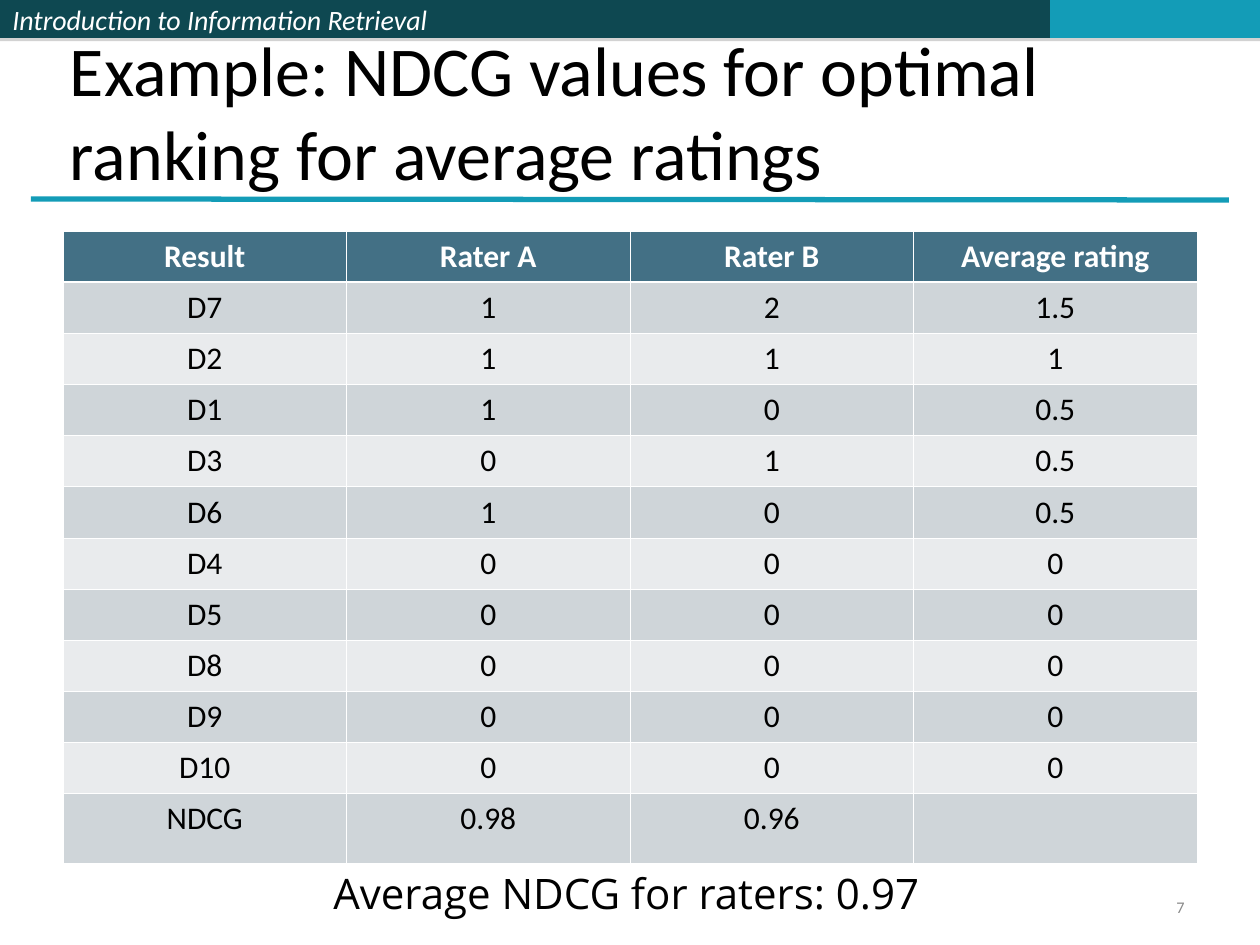
from lxml.etree import SubElement
from pptx import Presentation
from pptx.dml.color import RGBColor
from pptx.enum.shapes import MSO_CONNECTOR as Connector, MSO_SHAPE as Shape
from pptx.enum.text import MSO_ANCHOR as Anchor, MSO_AUTO_SIZE as AutoSize, PP_ALIGN as Align
from pptx.oxml import parse_xml
from pptx.oxml.ns import nsdecls, qn
from pptx.util import Pt

PX = 914400 / 126
COLORS = {
    "teal": "0E4851", "cyan": "139CB7", "header": "437085",
    "odd": "CFD5D9", "even": "E9EBED", "white": "FFFFFF",
    "black": "000000", "gray": "898989", "shadow": "808080",
}
RATINGS = [
    ("Result", "Rater A", "Rater B", "Average rating"),
    ("D7", "1", "2", "1.5"),
    ("D2", "1", "1", "1"),
    ("D1", "1", "0", "0.5"),
    ("D3", "0", "1", "0.5"),
    ("D6", "1", "0", "0.5"),
    ("D4", "0", "0", "0"),
    ("D5", "0", "0", "0"),
    ("D8", "0", "0", "0"),
    ("D9", "0", "0", "0"),
    ("D10", "0", "0", "0"),
    ("NDCG", "0.98", "0.96", ""),
]


def px(length):
    return round(length * PX)


def rgb(name):
    return RGBColor.from_string(COLORS[name])


def write(frame, words, size, color, font="Calibri", bold=False, italic=False, align=Align.LEFT):
    line = frame.paragraphs[0]
    line.alignment = align
    if words:
        run = line.add_run()
        run.text = words
        run.font.size, run.font.name = Pt(size), font
        run.font.bold, run.font.italic = bold, italic
        run.font.color.rgb = rgb(color)
    return line


def add_band(slide, left, width, color):
    band = slide.shapes.add_shape(Shape.RECTANGLE, px(left), 0, px(width), px(38))
    band.fill.solid()
    band.fill.fore_color.rgb = rgb(color)
    band.line.fill.background()
    band.shadow.inherit = False
    band._element.spPr.find(qn("a:effectLst")).append(parse_xml(
        f'<a:outerShdw {nsdecls("a")} dist="22860" dir="5400000" rotWithShape="0">'
        f'<a:srgbClr val="{COLORS["shadow"]}"><a:alpha val="35000"/></a:srgbClr></a:outerShdw>'))
    return band.text_frame


def add_rule(slide, left, top, right, bottom):
    rule = slide.shapes.add_connector(Connector.STRAIGHT, px(left), px(top), px(right), px(bottom))
    rule.line.color.rgb = rgb("cyan")
    rule.line.width = Pt(3)
    SubElement(rule._element.spPr, qn("a:effectLst"))


def add_text_area(slide, left, top, width, height, anchor=Anchor.TOP, wrap=True):
    frame = slide.shapes.add_textbox(px(left), px(top), px(width), px(height)).text_frame
    frame.word_wrap = wrap
    frame.vertical_anchor = anchor
    return frame


def set_borders(cell, row):
    heavy_side = {0: "lnB", 1: "lnT"}.get(row)
    properties = cell._tc.get_or_add_tcPr()
    for place, side in enumerate(("lnL", "lnR", "lnT", "lnB")):
        width = Pt(1.47 if side == heavy_side else 0.45)
        properties.insert(place, parse_xml(
            f'<a:{side} {nsdecls("a")} w="{width}"><a:solidFill>'
            f'<a:srgbClr val="{COLORS["white"]}"/></a:solidFill></a:{side}>'))


def add_ratings(slide, left, top, width, row_height, last_height):
    columns = len(RATINGS[0])
    height = row_height * (len(RATINGS) - 1) + last_height
    table = slide.shapes.add_table(
        len(RATINGS), columns, px(left), px(top), px(width), px(height)).table
    for column in table.columns:
        column.width = px(width / columns)
    for row, values in enumerate(RATINGS):
        is_header = row == 0
        table.rows[row].height = px(last_height if row == len(RATINGS) - 1 else row_height)
        fill = "header" if is_header else ("even", "odd")[row % 2]
        for column, value in enumerate(values):
            cell = table.cell(row, column)
            cell.fill.solid()
            cell.fill.fore_color.rgb = rgb(fill)
            set_borders(cell, row)
            write(cell.text_frame, value, 18, "white" if is_header else "black",
                  bold=is_header, align=Align.CENTER)


def main():
    deck = Presentation()
    deck.slide_width, deck.slide_height = px(1260), px(945)
    slide = deck.slides.add_slide(deck.slide_layouts[6])

    course = add_band(slide, 0, 514, "teal")
    course.vertical_anchor = Anchor.MIDDLE
    write(course, "Introduction to Information Retrieval", 16, "white", italic=True)
    add_band(slide, 514, 536, "teal")
    add_band(slide, 1050, 210, "cyan")
    add_rule(slide, 31, 199, 1229, 200)

    title = add_text_area(slide, 63, 38, 1134, 157, Anchor.BOTTOM)
    title.margin_left = title.margin_right = px(7)
    title.margin_top = title.margin_bottom = px(1)
    write(title, "Example: NDCG values for optimal ranking for average ratings", 40, "black")

    add_ratings(slide, 63, 231, 1134, 51.15, 70)

    page = add_text_area(slide, 903, 892, 294, 34, Anchor.MIDDLE)
    write(page, "7", 9.3, "gray", align=Align.RIGHT).line_spacing = 0.8

    average = add_text_area(slide, 321, 861, 620, 63, wrap=False)
    average.auto_size = AutoSize.SHAPE_TO_FIT_TEXT
    write(average, "Average NDCG for raters: 0.97", 24, "black", font="Open Sans")

    deck.save("out.pptx")


if __name__ == "__main__":
    main()
